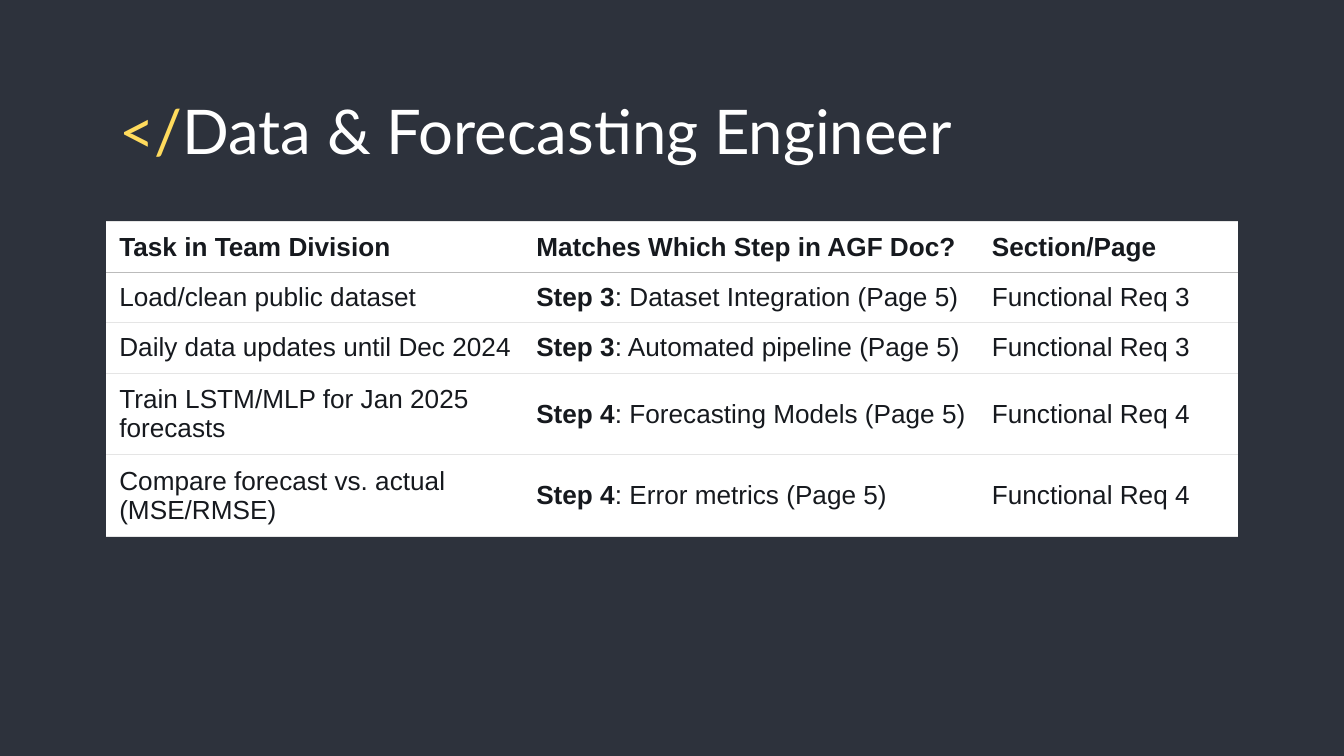
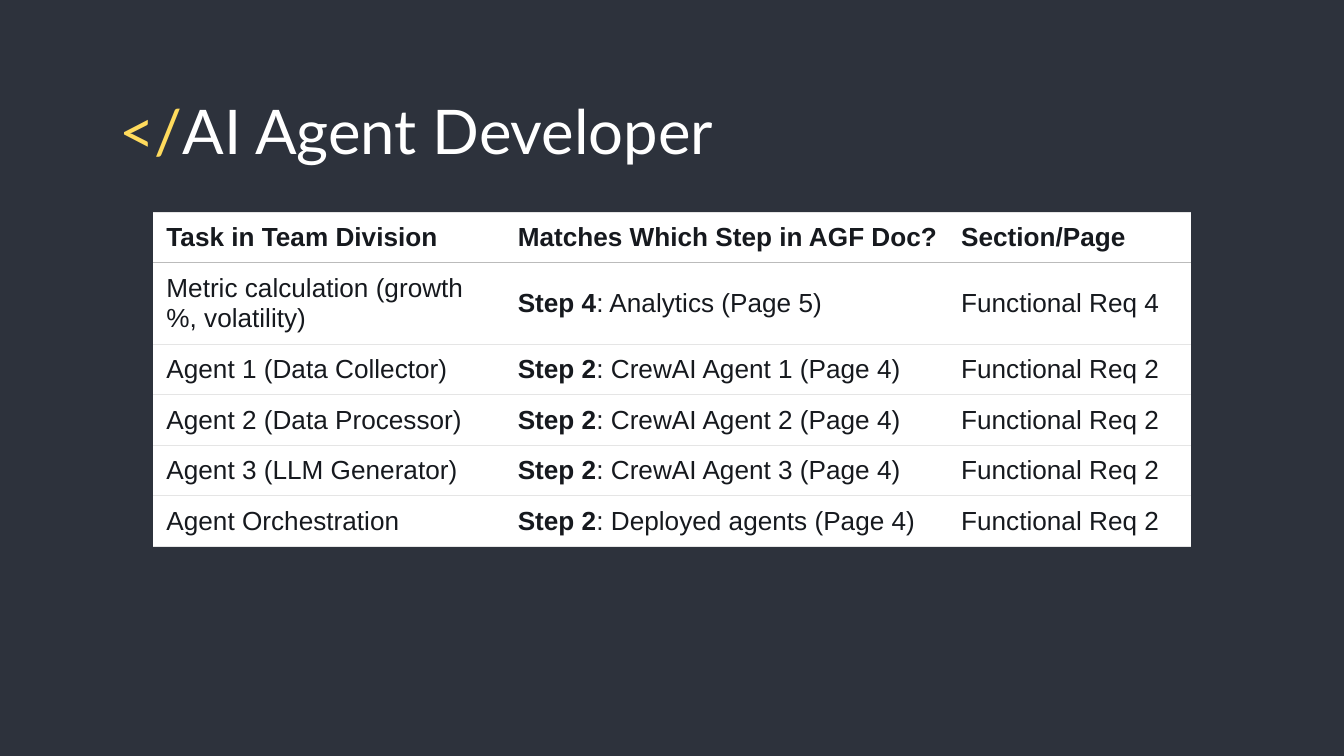
from lxml import etree
from pptx import Presentation
from pptx.dml.color import RGBColor
from pptx.enum.text import MSO_ANCHOR
from pptx.oxml.ns import qn
from pptx.util import Cm, Pt

TOP, MIDDLE = MSO_ANCHOR.TOP, MSO_ANCHOR.MIDDLE

NAVY = RGBColor(0x2D, 0x32, 0x3C)
YELLOW = RGBColor(0xFF, 0xDB, 0x5D)
WHITE = RGBColor(0xFF, 0xFF, 0xFF)
INK = RGBColor(0x16, 0x19, 0x1E)
HEADER_RULE = RGBColor(0xBB, 0xBB, 0xBB)
ROW_RULE = RGBColor(0xE5, 0xE5, 0xE5)

TITLE_FONT, TABLE_FONT = "Lato", "Arial"
SLIDE_WIDTH, SLIDE_HEIGHT = Cm(25.4), Cm(14.29)
TITLE_BOX = (Cm(2), Cm(1.5), Cm(21.4), Cm(1.6))
ROW_HEIGHT, TALL_ROW_HEIGHT = Cm(0.91), Cm(1.47)
RULE_WIDTH = Pt(0.67)

HEADINGS = ("Task in Team Division", "Matches Which Step in AGF Doc?", "Section/Page")

# Each task: name, step number, what the step covers, page.
ROLES = [
    {
        "title": "Data & Forecasting Engineer",
        "top": Cm(4.19),
        "columns": (Cm(7.95), Cm(8.61), Cm(4.83)),
        "tall_rows": (3, 4),
        "tasks": [
            ("Load/clean public dataset", 3, "Dataset Integration", 5),
            ("Daily data updates until Dec 2024", 3, "Automated pipeline", 5),
            ("Train LSTM/MLP for Jan 2025 forecasts", 4, "Forecasting Models", 5),
            ("Compare forecast vs. actual (MSE/RMSE)", 4, "Error metrics", 5),
        ],
    },
    {
        "title": "AI Agent Developer",
        "top": Cm(4.01),
        "columns": (Cm(6.71), Cm(8.38), Cm(4.52)),
        "tall_rows": (1,),
        "tasks": [
            ("Metric calculation (growth %, volatility)", 4, "Analytics", 5),
            ("Agent 1 (Data Collector)", 2, "CrewAI Agent 1", 4),
            ("Agent 2 (Data Processor)", 2, "CrewAI Agent 2", 4),
            ("Agent 3 (LLM Generator)", 2, "CrewAI Agent 3", 4),
            ("Agent Orchestration", 2, "Deployed agents", 4),
        ],
    },
]


def add_run(paragraph, text, font, size, color, bold=False):
    run = paragraph.add_run()
    run.text = text
    run.font.name = font
    run.font.size = Pt(size)
    run.font.color.rgb = color
    run.font.bold = bold


def add_title(slide, box, title):
    frame = slide.shapes.add_textbox(*box).text_frame
    frame.word_wrap = True
    frame.vertical_anchor = TOP
    frame.margin_left = frame.margin_right = Cm(0.25)
    frame.margin_top = frame.margin_bottom = Cm(0.25)
    add_run(frame.paragraphs[0], "</", TITLE_FONT, 33, YELLOW)
    add_run(frame.paragraphs[0], title, TITLE_FONT, 33, WHITE)


def set_rules(cell, above, below):
    """Draw the rules above and below a cell and leave its sides open."""
    properties = cell._tc.get_or_add_tcPr()
    for side, color in (("L", None), ("R", None), ("T", above), ("B", below)):
        line = etree.SubElement(properties, qn(f"a:ln{side}"), w=str(RULE_WIDTH))
        if color is None:
            etree.SubElement(line, qn("a:noFill"))
        else:
            fill = etree.SubElement(line, qn("a:solidFill"))
            etree.SubElement(fill, qn("a:srgbClr"), val=str(color))


def fill_cell(cell, runs, row, column):
    set_rules(cell,
              HEADER_RULE if row == 1 else ROW_RULE,
              HEADER_RULE if row == 0 else ROW_RULE)
    cell.fill.solid()
    cell.fill.fore_color.rgb = WHITE
    cell.vertical_anchor = MIDDLE
    cell.margin_left = Cm(0.25 if column == 0 else 0.18)
    cell.margin_right = cell.margin_top = cell.margin_bottom = Cm(0.18)
    for text, bold in runs:
        add_run(cell.text_frame.paragraphs[0], text, TABLE_FONT, 14, INK, bold)


def task_runs(task, step, topic, page):
    """Return the (text, bold) runs of the three cells of a task."""
    return [
        [(task, False)],
        [(f"Step {step}", True), (f": {topic} (Page {page})", False)],
        [(f"Functional Req {step}", False)],
    ]


def add_task_table(slide, top, columns, tall_rows, tasks):
    rows = [[[(heading, True)] for heading in HEADINGS]]
    rows += [task_runs(*task) for task in tasks]
    heights = [TALL_ROW_HEIGHT if row in tall_rows else ROW_HEIGHT
               for row in range(len(rows))]
    width = sum(columns)
    left = (SLIDE_WIDTH - width) // 2
    table = slide.shapes.add_table(
        len(rows), len(columns), left, top, width, sum(heights)).table
    table.first_row = table.horz_banding = False
    for column, column_width in enumerate(columns):
        table.columns[column].width = column_width
    for row, cells in enumerate(rows):
        table.rows[row].height = heights[row]
        for column, runs in enumerate(cells):
            fill_cell(table.cell(row, column), runs, row, column)


def add_role_slide(deck, title, **table_parts):
    slide = deck.slides.add_slide(deck.slide_layouts[6])
    slide.background.fill.solid()
    slide.background.fill.fore_color.rgb = NAVY
    add_title(slide, TITLE_BOX, title)
    add_task_table(slide, **table_parts)


def main():
    deck = Presentation()
    deck.slide_width, deck.slide_height = SLIDE_WIDTH, SLIDE_HEIGHT
    for role in ROLES:
        add_role_slide(deck, **role)
    deck.save("out.pptx")


if __name__ == "__main__":
    main()
